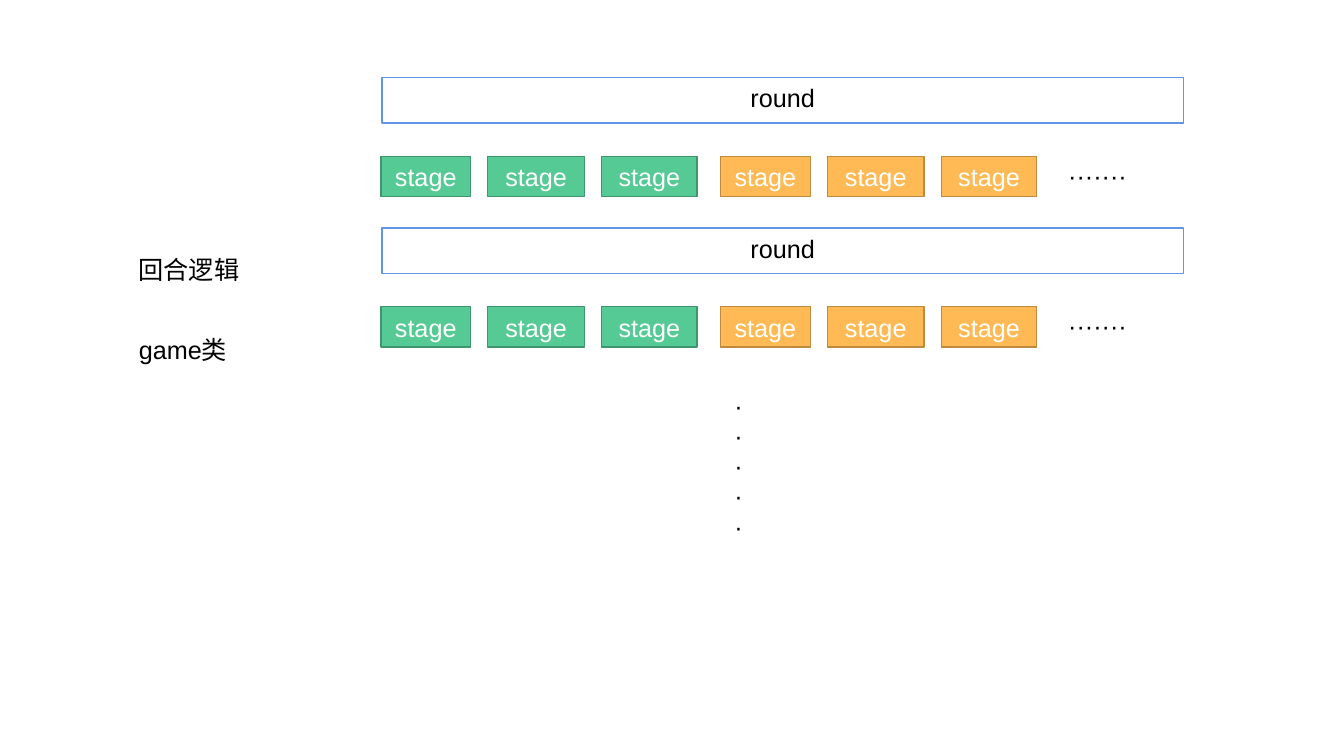
from dataclasses import dataclass

from pptx import Presentation
from pptx.dml.color import RGBColor
from pptx.enum import shapes, text
from pptx.util import Cm, Pt


@dataclass(frozen=True)
class Theme:
    font: str = "Arial"
    size: int = 18
    line: int = 1
    dark: str = "000000"
    light: str = "FFFFFF"
    blue: str = "6096E6"
    green: tuple = ("56CA95", "40956E")
    gold: tuple = ("FFBA55", "BD8A3F")


THEME = Theme()
STAGES = ((9.6, 2.26), (12.29, 2.44), (15.16, 2.41))
GROUP = 8.56
PITCH = 3.79
TOP = 1.96
DOT = "·"


def write(shape, words, color, align, anchor=text.MSO_ANCHOR.TOP, fit=True):
    frame = shape.text_frame
    frame.text = words
    frame.word_wrap = True
    frame.vertical_anchor = anchor
    kind = text.MSO_AUTO_SIZE
    frame.auto_size = kind.SHAPE_TO_FIT_TEXT if fit else kind.NONE
    for para in frame.paragraphs:
        para.alignment = align
        for run in para.runs:
            run.font.name = THEME.font
            run.font.size = Pt(THEME.size)
            run.font.color.rgb = RGBColor.from_string(color)


def add_box(slide, area, words, fill, line, color, anchor, fit):
    box = slide.shapes.add_shape(
        shapes.MSO_SHAPE.RECTANGLE, *(Cm(n) for n in area))
    box.shadow.inherit = False
    box.fill.solid()
    box.fill.fore_color.rgb = RGBColor.from_string(fill)
    box.line.color.rgb = RGBColor.from_string(line)
    box.line.width = Pt(THEME.line)
    write(box, words, color, text.PP_ALIGN.CENTER, anchor, fit)


def add_label(slide, area, words, fit=True):
    label = slide.shapes.add_textbox(*(Cm(n) for n in area))
    write(label, words, THEME.dark, text.PP_ALIGN.LEFT, fit=fit)


def add_title(slide, area, words):
    title = slide.shapes.title
    title.left, title.top, title.width, title.height = (Cm(n) for n in area)
    write(title, words, THEME.dark, text.PP_ALIGN.CENTER)


def add_round(slide, top):
    add_box(slide, (9.63, top, 20.19, 1.14), "round", THEME.light,
            THEME.blue, THEME.dark, text.MSO_ANCHOR.TOP, False)
    for group, (fill, line) in enumerate((THEME.green, THEME.gold)):
        for left, width in STAGES:
            area = (left + group * GROUP, top + 1.98, width, 1.02)
            add_box(slide, area, "stage", fill, line, THEME.light,
                    text.MSO_ANCHOR.MIDDLE, True)
    add_label(slide, (26.67, top + 1.95, 3.91, 1.02), DOT * 7)


def main():
    deck = Presentation()
    deck.slide_width, deck.slide_height = Cm(33.87), Cm(19.05)
    slide = deck.slides.add_slide(deck.slide_layouts[5])
    add_title(slide, (1.85, 6.27, 5.82, 1.02), "回合逻辑")
    add_label(slide, (3.25, 8.31, 3, 1.22), "game类", False)
    for row in range(2):
        add_round(slide, TOP + row * PITCH)
    add_label(slide, (18.26, 9.7, 3.45, 4.09), "\n".join(DOT * 5))
    deck.save("out.pptx")


if __name__ == "__main__":
    main()
